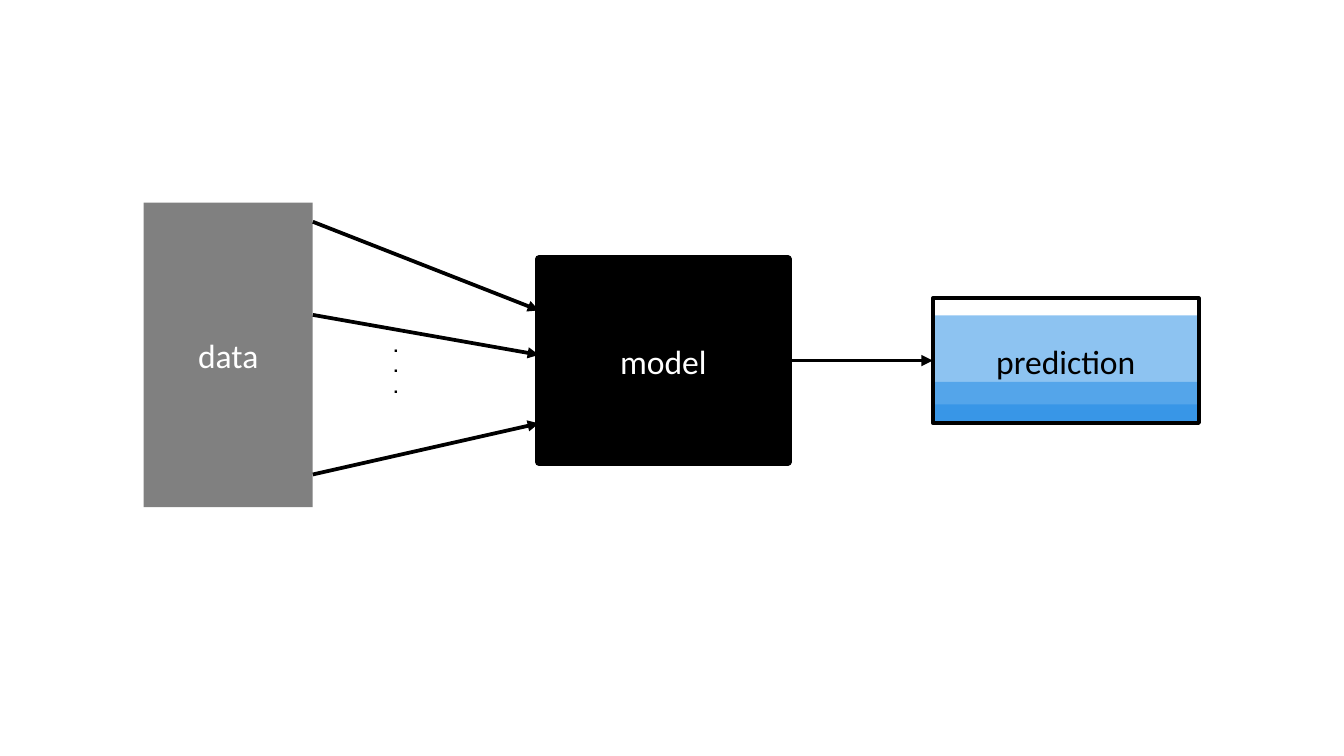
"""Build a slide showing data flowing through a model to a layered prediction."""
import pptx
import pptx.dml.color
import pptx.enum.shapes
import pptx.enum.text
import pptx.oxml.ns
import pptx.util
from lxml import etree

Pt = pptx.util.Pt
COLORS = {"black": "000000", "white": "FFFFFF", "gray": "808080", "blue": "1D88E5"}


def rgb(name):
    return pptx.dml.color.RGBColor.from_string(COLORS[name])


def add_child(parent, tag, **attributes):
    return etree.SubElement(parent, pptx.oxml.ns.qn(tag), attributes)


def write(para, text, font="Calibri", size=18, color="black", bold=False, align="CENTER"):
    para.alignment = getattr(pptx.enum.text.PP_ALIGN, align)
    span = para.add_run()
    span.text = text
    span.font.name = font
    span.font.size = Pt(size)
    span.font.bold = bold
    span.font.color.rgb = rgb(color)


class Painter:
    def __init__(self, slide, line_width=2):
        self.slide = slide
        self.line_width = line_width

    def box(self, left, top, width, height, text="", fill=None, alpha=None,
            line=None, line_width=None, color="black"):
        box = self.slide.shapes.add_shape(
            pptx.enum.shapes.MSO_SHAPE.RECTANGLE, Pt(left), Pt(top), Pt(width), Pt(height))
        box.shadow.inherit = False
        if fill:
            box.fill.solid()
            box.fill.fore_color.rgb = rgb(fill)
            if alpha:
                tint = box.fill._xPr.find(".//" + pptx.oxml.ns.qn("a:srgbClr"))
                add_child(tint, "a:alpha", val=str(alpha * 1000))
        else:
            box.fill.background()
        if line:
            box.line.color.rgb = rgb(line)
            box.line.width = Pt(line_width or self.line_width)
        else:
            box.line.fill.background()
        if text:
            box.text_frame.vertical_anchor = pptx.enum.text.MSO_ANCHOR.MIDDLE
            write(box.text_frame.paragraphs[0], text, color=color)
        return box

    def arrow(self, start_x, start_y, end_x, end_y):
        arrow = self.slide.shapes.add_connector(
            pptx.enum.shapes.MSO_CONNECTOR.STRAIGHT,
            Pt(start_x), Pt(start_y), Pt(end_x), Pt(end_y))
        arrow.line.color.rgb = rgb("black")
        arrow.line.width = Pt(self.line_width)
        add_child(arrow.line._get_or_add_ln(), "a:tailEnd", type="triangle")
        add_child(arrow._element.spPr, "a:effectLst")
        return arrow

    def label(self, left, top, width, height, lines, **style):
        box = self.slide.shapes.add_textbox(Pt(left), Pt(top), Pt(width), Pt(height))
        frame = box.text_frame
        frame.word_wrap = True
        frame.auto_size = pptx.enum.text.MSO_AUTO_SIZE.SHAPE_TO_FIT_TEXT
        for index, text in enumerate(lines):
            para = frame.add_paragraph() if index else frame.paragraphs[0]
            write(para, text, **style)
        return box


def main():
    deck = pptx.Presentation()
    deck.slide_width, deck.slide_height = Pt(720), Pt(405)
    painter = Painter(deck.slides.add_slide(deck.slide_layouts[6]))

    left, width, bottom = 499.7, 142.6, 226.6
    for height in (57.6, 22, 10):
        painter.box(left, bottom - height, width, height, fill="blue", alpha=50)
    prediction = painter.box(left, bottom - 66.8, width, 66.8, "prediction", line="black")

    data_left, data_width, model_left, model_width = 77, 90.6, 288.7, 133.4
    painter.box(data_left, 108.5, data_width, 163.2, "data", fill="gray", color="white")
    model = painter.box(model_left, 138.8, model_width, 108.8, "model", fill="black",
                        line="black", line_width=4, color="white")

    for start_y, end_y in ((118.8, 166.3), (168.7, 190.1), (254.2, 226.8)):
        painter.arrow(data_left + data_width, start_y, model_left, end_y)
    painter.label(203.8, 176.4, 18, 40.3, "...", font="Arial", size=9, bold=True, align="LEFT")

    middle = bottom - 33.4
    output = painter.arrow(model_left + model_width, middle, left, middle)
    output.begin_connect(model, 3)
    output.end_connect(prediction, 1)
    deck.save("out.pptx")


if __name__ == "__main__":
    main()
